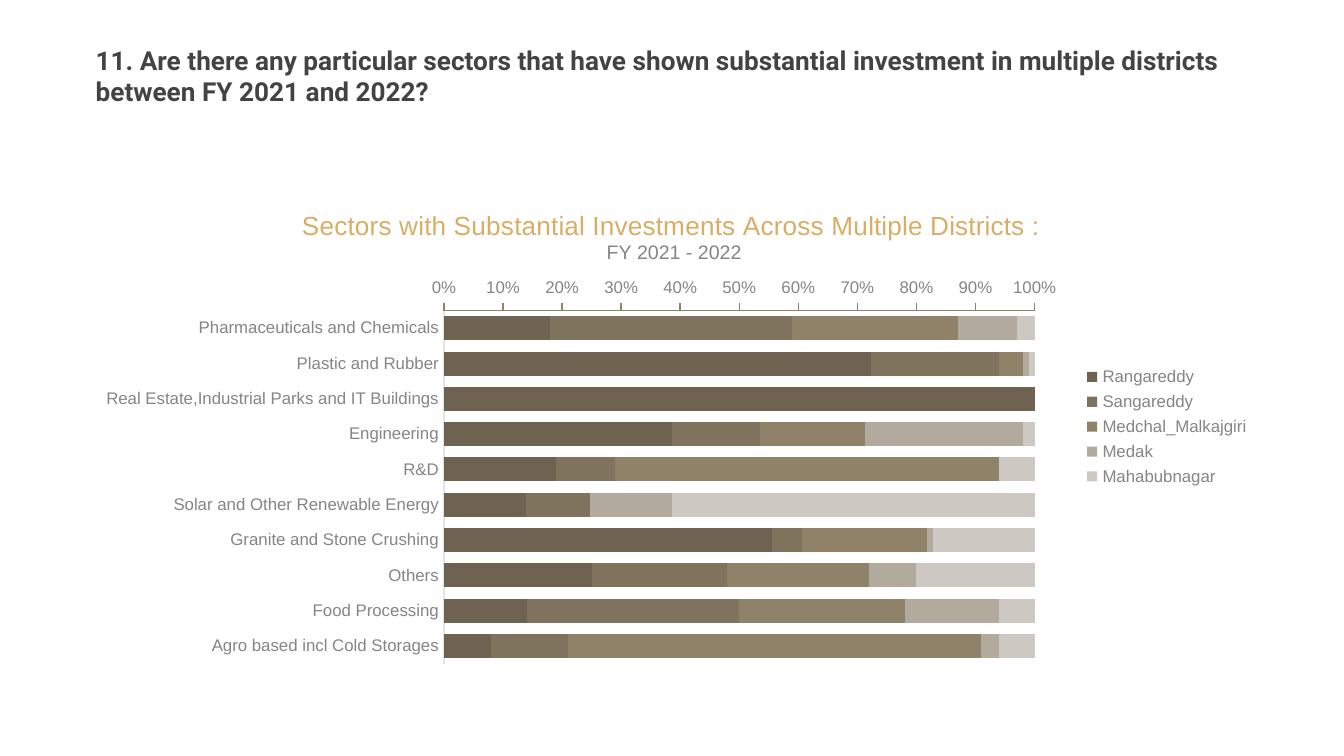
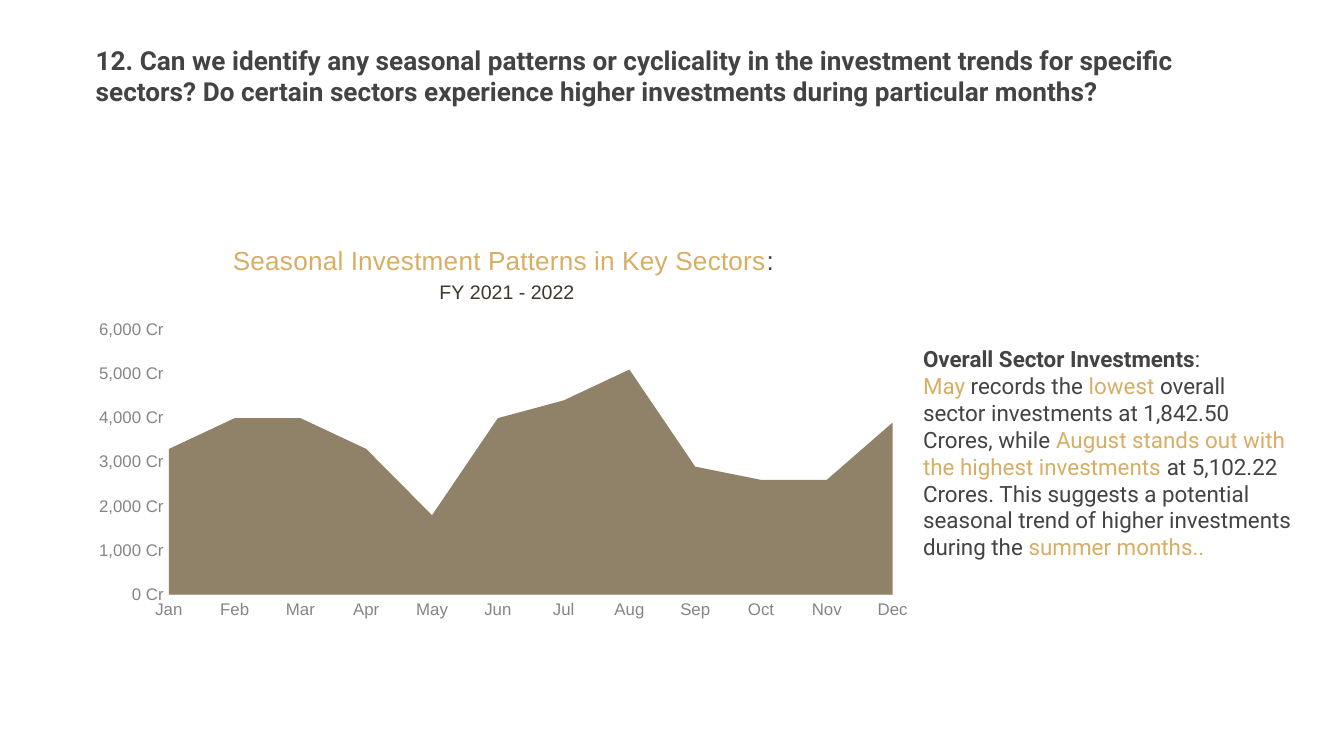
"""Build two slides on sector investments, each with a question and a chart."""
from lxml import etree
from pptx import Presentation
from pptx.chart.data import CategoryChartData
from pptx.dml.color import RGBColor
from pptx.enum.chart import XL_CHART_TYPE, XL_LEGEND_POSITION, XL_TICK_LABEL_POSITION, XL_TICK_MARK
from pptx.util import Pt

BAR, AREA = XL_CHART_TYPE.BAR_STACKED_100, XL_CHART_TYPE.AREA
RIGHT = XL_LEGEND_POSITION.RIGHT
NONE, OUT = XL_TICK_MARK.NONE, XL_TICK_MARK.OUTSIDE
BESIDE = XL_TICK_LABEL_POSITION.NEXT_TO_AXIS
INK, GREY, GOLD, TAN, RULE, BROWN = "434343", "858585", "D8AE65", "908269", "E3E3E3", "40372A"
HEAD, BODY = "Roboto", "Arial"

ASKS = [
    "11. Are there any particular sectors that have shown substantial investment in multiple districts "
    "between FY 2021 and 2022?",
    "12. Can we identify any seasonal patterns or cyclicality in the investment trends for specific sectors? "
    "Do certain sectors experience higher investments during particular months?",
]
SPAN = "FY 2021 - 2022"
SECTORS = ["Agro based incl Cold Storages", "Food Processing", "Others", "Granite and Stone Crushing",
           "Solar and Other Renewable Energy", "R&D", "Engineering",
           "Real Estate,Industrial Parks and IT Buildings", "Plastic and Rubber", "Pharmaceuticals and Chemicals"]
SHARES = [
    ("Rangareddy", "6D6350", [8, 14, 25, 55, 14, 19, 39, 100, 73, 18]),
    ("Sangareddy", "80735D", [13, 36, 23, 5, 11, 10, 15, 0, 22, 41]),
    ("Medchal_Malkajgiri", TAN, [70, 28, 24, 21, 0, 65, 18, None, 4, 28]),
    ("Medak", "B2AA9D", [3, 16, 8, 1, 14, 0, 27, None, 1, 10]),
    ("Mahabubnagar", "CDC8C2", [6, 6, 20, 17, 62, 6, 2, None, 1, 3]),
]
MONTHS = "Jan Feb Mar Apr May Jun Jul Aug Sep Oct Nov Dec".split()
TOTALS = [("Series 1", TAN, [3300, 4000, 4000, 3300, 1800, 4000, 4400, 5100, 2900, 2600, 2600, 3900])]
NOTE = [
    [("Overall Sector Investments", INK, True), (":", INK, False)],
    [("May", GOLD, False), (" records the ", INK, False), ("lowest", GOLD, False),
     (" overall sector investments at 1,842.50 Crores, while ", INK, False),
     ("August stands out with the highest investments", GOLD, False),
     (" at 5,102.22 Crores. This suggests a potential seasonal trend of higher investments during the ", INK, False),
     ("summer months..", GOLD, False)],
]


def rgb(code):
    return RGBColor.from_string(code)


def style(font, size, color, face=BODY, bold=False):
    font.size, font.name, font.bold = Pt(size), face, bold
    font.color.rgb = rgb(color)


def write(frame, paras, size, face):
    for num, runs in enumerate(paras):
        para = frame.add_paragraph() if num else frame.paragraphs[0]
        para.font.size, para.font.name = Pt(size), face
        for text, color, bold in runs:
            run = para.add_run()
            run.text = text
            style(run.font, size, color, face, bold)


def add_text(slide, box, paras, size, pad):
    frame = slide.shapes.add_textbox(*map(Pt, box)).text_frame
    frame.word_wrap = True
    frame.margin_top = frame.margin_bottom = Pt(pad)
    write(frame, paras, size, HEAD)


def place(node, spots, after=None):
    """Pin a chart part at fractions of the chart's size."""
    for old in node.xpath("c:layout"):
        node.remove(old)
    space = node.nsmap["c"]
    layout = etree.Element(f"{{{space}}}layout")
    manual = etree.SubElement(layout, f"{{{space}}}manualLayout")
    parts = [] if after else [("layoutTarget", "inner")]
    parts += [("xMode", "edge"), ("yMode", "edge"), *zip("xywh", spots)]
    for tag, val in parts:
        etree.SubElement(manual, f"{{{space}}}{tag}").set("val", str(val))
    if after:
        node.xpath(after)[0].addnext(layout)
    else:
        node.insert(0, layout)


def set_axis(axis, tick, line, fmt=None):
    axis.has_major_gridlines = axis.has_minor_gridlines = False
    axis.major_tick_mark, axis.minor_tick_mark = tick, NONE
    axis.tick_label_position = BESIDE
    style(axis.tick_labels.font, 9, GREY)
    if fmt:
        axis.tick_labels.number_format = fmt
        axis.tick_labels.number_format_is_linked = False
    if line:
        axis.format.line.color.rgb = rgb(line)
        axis.format.line.width = Pt(0.75)
    else:
        axis.format.line.fill.background()


def set_cross(axis, mode):
    """Say whether the value axis meets the categories between or on their marks."""
    node = axis._element
    for old in node.xpath("c:crossBetween"):
        node.remove(old)
    cross = etree.Element(f"{{{node.nsmap['c']}}}crossBetween")
    cross.set("val", mode)
    node.xpath("c:crosses")[0].addnext(cross)


def add_chart(slide, kind, box, cats, rows, title, sub, lead, spot, plot):
    data = CategoryChartData()
    data.categories = cats
    for name, _, vals in rows:
        data.add_series(name, vals)
    chart = slide.shapes.add_chart(kind, *map(Pt, box), data).chart
    style(chart.font, 10, INK)
    chart.has_legend = False
    chart.has_title = True
    head = chart.chart_title
    write(head.text_frame, [title], 14, BODY)
    line = head.text_frame.add_paragraph()
    for text, size in ((" ", lead), (SPAN, 10.5)):
        run = line.add_run()
        run.text = text
        style(run.font, size, sub)
    head.include_in_layout = False
    place(head._element, spot, "c:tx")
    place(chart._chartSpace.chart.plotArea, plot)
    for series, (_, color, _) in zip(chart.plots[0].series, rows):
        series.format.fill.solid()
        series.format.fill.fore_color.rgb = rgb(color)
        series.format.line.fill.background()
    chart.plots[0].vary_by_categories = False
    set_axis(chart.category_axis, NONE, RULE)
    return chart


def add_shares(slide):
    title = [("Sectors with Substantial Investments Across Multiple Districts :", GOLD, False)]
    chart = add_chart(slide, BAR, (44, 100, 631.5, 260.6), SECTORS, SHARES, title, GREY, 10.5,
                      (0.183, 0.038), (0.307, 0.255, 0.501, 0.726))
    chart.plots[0].gap_width, chart.plots[0].overlap = 47, 100
    axis = chart.value_axis
    set_axis(axis, OUT, TAN, "0%")
    for tag, val in (("axPos", "t"), ("crosses", "max")):
        axis._element.xpath(f"c:{tag}")[0].set("val", val)
    set_cross(axis, "between")
    chart.has_legend = True
    legend = chart.legend
    legend.position, legend.include_in_layout = RIGHT, False
    style(legend.font, 9, GREY)
    place(legend._element, (0.848, 0.36), "c:legendPos")


def add_season(slide):
    title = [("Seasonal Investment Patterns in Key Sectors", GOLD, False), (":", INK, False)]
    chart = add_chart(slide, AREA, (44, 120.2, 451.4, 216), MONTHS, TOTALS, title, BROWN, 14,
                      (0.174, 0.038), (0.103, 0.262, 0.859, 0.657))
    axis = chart.value_axis
    set_axis(axis, NONE, None, r"#,##0\ \C\r")
    axis.minimum_scale, axis.maximum_scale, axis.major_unit = 0, 6000, 1000
    set_cross(axis, "midCat")
    add_text(slide, (487.4, 177.8, 212.4, 206.6), NOTE, 12, 7.2)


def main():
    deck = Presentation()
    deck.slide_width, deck.slide_height = Pt(720), Pt(405)
    for ask, fill in zip(ASKS, (add_shares, add_season)):
        slide = deck.slides.add_slide(deck.slide_layouts[6])
        add_text(slide, (44.2, 20.2, 631.5, 41), [[(ask, INK, True)]], 14, 3.6)
        fill(slide)
    deck.save("out.pptx")


if __name__ == "__main__":
    main()
